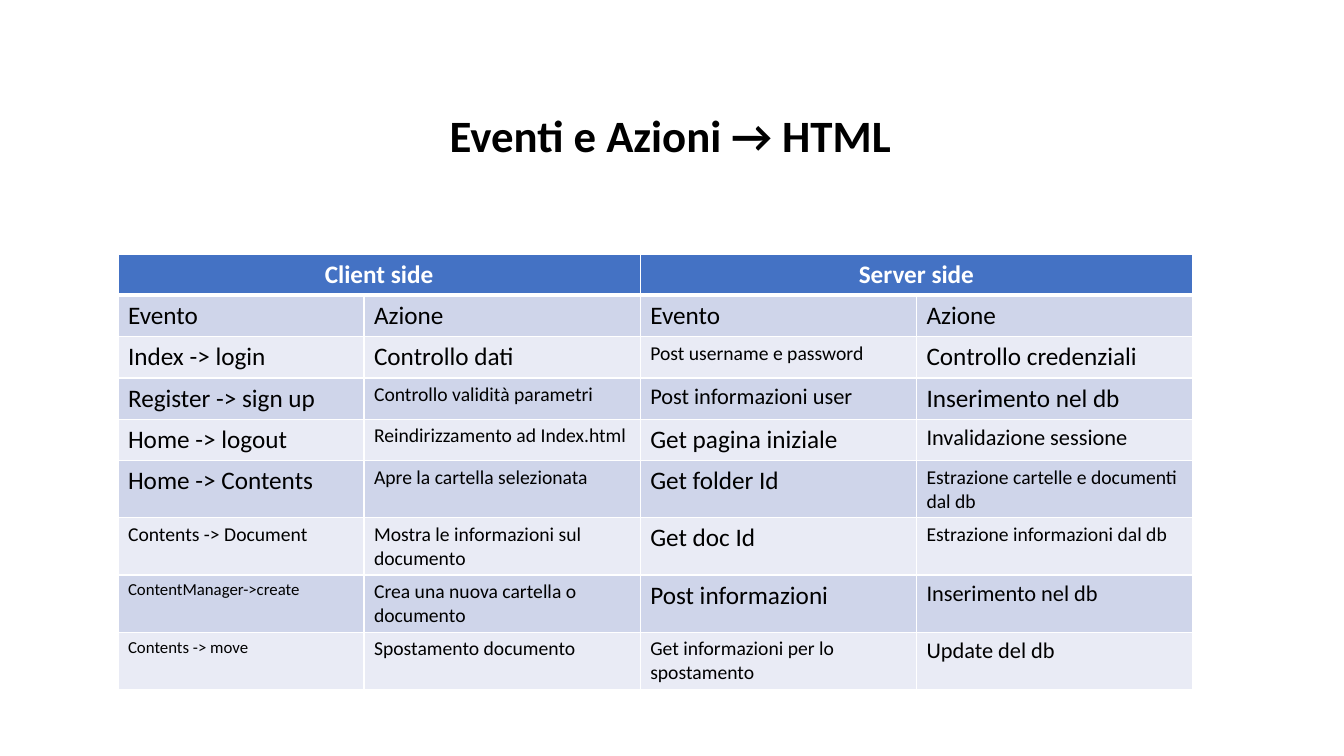
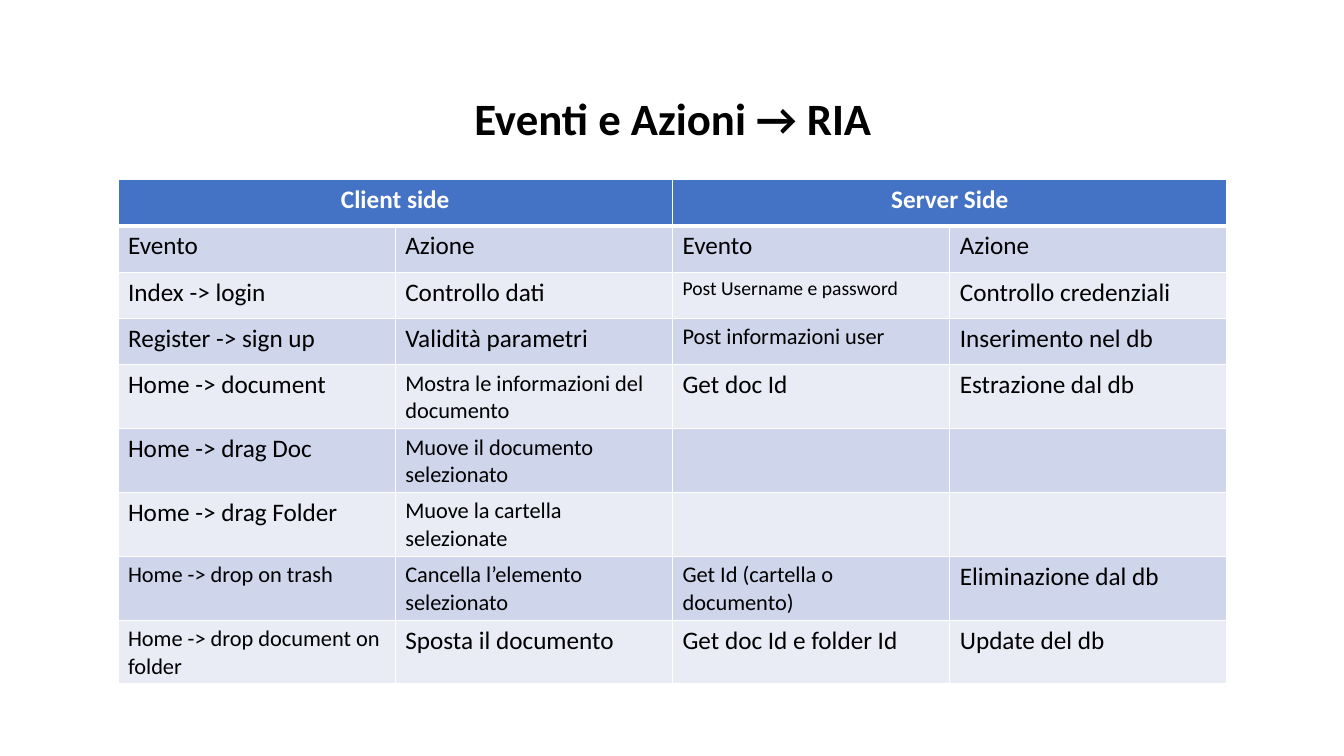
from lxml import etree
from pptx import Presentation
from pptx import util as u
from pptx.dml.color import RGBColor
from pptx.enum import text
from pptx.oxml import ns

COLORS = {
    "ink": "000000",
    "white": "FFFFFF",
    "header": "4472C4",
    "band_dark": "CFD5EA",
    "band_light": "E9EBF5",
}
FONT = "Calibri"
BODY_SIZE = 18
LEFT = 1.17
TITLE_HEIGHT = 1.04
COLUMN_NAMES = ["Evento", "Azione"] * 2

# Cells are a text in the body size, or a (text, size) pair
HTML_ROWS = [
    ["Index -> login", "Controllo dati",
     ("Post username e password", 14), "Controllo credenziali"],
    ["Register -> sign up", ("Controllo validità parametri", 14),
     ("Post informazioni user", 16), "Inserimento nel db"],
    ["Home -> logout", ("Reindirizzamento ad Index.html", 14),
     "Get pagina iniziale", ("Invalidazione sessione", 16)],
    ["Home -> Contents", ("Apre la cartella selezionata", 14),
     "Get folder Id", ("Estrazione cartelle e documenti dal db", 14)],
    [("Contents -> Document", 14), ("Mostra le informazioni sul documento", 14),
     "Get doc Id", ("Estrazione informazioni dal db", 14)],
    [("ContentManager->create", 12), ("Crea una nuova cartella o documento", 14),
     "Post informazioni", ("Inserimento nel db", 16)],
    [("Contents -> move", 12), ("Spostamento documento", 14),
     ("Get informazioni per lo spostamento", 14), ("Update del db", 16)],
]
RIA_ROWS = [
    ["Index -> login", "Controllo dati",
     ("Post Username e password", 14), "Controllo credenziali"],
    ["Register -> sign up", "Validità parametri",
     ("Post informazioni user", 16), "Inserimento nel db"],
    ["Home -> document", ("Mostra le informazioni del documento", 16),
     "Get doc Id", "Estrazione dal db"],
    ["Home -> drag Doc", ("Muove il documento selezionato", 16), "", ""],
    ["Home -> drag Folder", ("Muove la cartella selezionate", 16), "", ""],
    [("Home -> drop on trash", 16), ("Cancella l’elemento selezionato", 16),
     ("Get Id (cartella o documento)", 16), "Eliminazione dal db"],
    [("Home -> drop document on folder", 16), "Sposta il documento",
     "Get doc Id e folder Id", "Update del db"],
]


def write(frame, content, size=BODY_SIZE, color="ink", bold=False,
          align=text.PP_ALIGN.LEFT, spacing=1.0):
    """Put one formatted paragraph into a text frame."""
    para = frame.paragraphs[0]
    para.alignment = align
    para.line_spacing = spacing
    span = para.add_run()
    span.text = content
    span.font.name = FONT
    span.font.size = u.Pt(size)
    span.font.bold = bold
    span.font.color.rgb = RGBColor.from_string(COLORS[color])


class SlideBuilder:
    """Holds the deck and the current page."""

    def __init__(self):
        self.deck = Presentation()
        self.deck.slide_width = u.Inches(13.33)
        self.deck.slide_height = u.Inches(7.5)
        self.page = None

    def add_page(self):
        self.page = self.deck.slides.add_slide(self.deck.slide_layouts[6])

    def title(self, content, top, width):
        box = self.page.shapes.add_textbox(
            u.Inches(LEFT), u.Inches(top), u.Inches(width), u.Inches(TITLE_HEIGHT))
        frame = box.text_frame
        frame.word_wrap = True
        frame.vertical_anchor = text.MSO_ANCHOR.BOTTOM
        write(frame, content, size=32, bold=True,
              align=text.PP_ALIGN.CENTER, spacing=0.9)

    def style_cell(self, cell, fill, bottom=1, top=1):
        """Fill a cell and draw its white borders, widths in points."""
        cell.fill.solid()
        cell.fill.fore_color.rgb = RGBColor.from_string(COLORS[fill])
        properties = cell._tc.get_or_add_tcPr()
        borders = [("lnL", 1), ("lnR", 1), ("lnT", top), ("lnB", bottom)]
        for position, (tag, width) in enumerate(borders):
            line = etree.Element(ns.qn(f"a:{tag}"), w=str(u.Pt(width)))
            solid = etree.SubElement(line, ns.qn("a:solidFill"))
            etree.SubElement(solid, ns.qn("a:srgbClr"), val=COLORS["white"])
            properties.insert(position, line)

    def table(self, headings, rows, top, widths, row_height):
        rows = [COLUMN_NAMES] + rows
        count = len(rows) + 1
        grid = self.page.shapes.add_table(
            count, len(widths), u.Inches(LEFT), u.Inches(top),
            u.Inches(sum(widths)), u.Inches(row_height * count)).table
        for column, width in zip(grid.columns, widths):
            column.width = u.Inches(width)
        for row in grid.rows:
            row.height = u.Inches(row_height)

        # Header: each heading spans an event and an action column
        for cell in grid.rows[0].cells:
            self.style_cell(cell, "header", bottom=3)
        for index, heading in enumerate(headings):
            first = grid.cell(0, 2 * index)
            first.merge(grid.cell(0, 2 * index + 1))
            write(first.text_frame, heading, color="white", bold=True,
                  align=text.PP_ALIGN.CENTER)

        # Body: alternating bands
        for row_index, row in enumerate(rows, start=1):
            fill = "band_dark" if row_index % 2 else "band_light"
            for column_index, entry in enumerate(row):
                cell = grid.cell(row_index, column_index)
                self.style_cell(cell, fill, top=3 if row_index == 1 else 1)
                content, size = entry if isinstance(entry, tuple) else (entry, BODY_SIZE)
                if content:
                    write(cell.text_frame, content, size=size)


def main():
    builder = SlideBuilder()

    # HTML version
    builder.add_page()
    builder.title("Eventi e Azioni → HTML", top=0.62, width=10.96)
    builder.table(["Client side", "Server side"], HTML_ROWS, top=2.52,
                  widths=[2.44] + [2.74] * 3, row_height=0.41)

    # RIA version
    builder.add_page()
    builder.title("Eventi e Azioni → RIA", top=0.45, width=11.01)
    builder.table(["Client side", "Server Side"], RIA_ROWS, top=1.78,
                  widths=[2.75] * 4, row_height=0.46)

    builder.deck.save("out.pptx")


if __name__ == "__main__":
    main()
